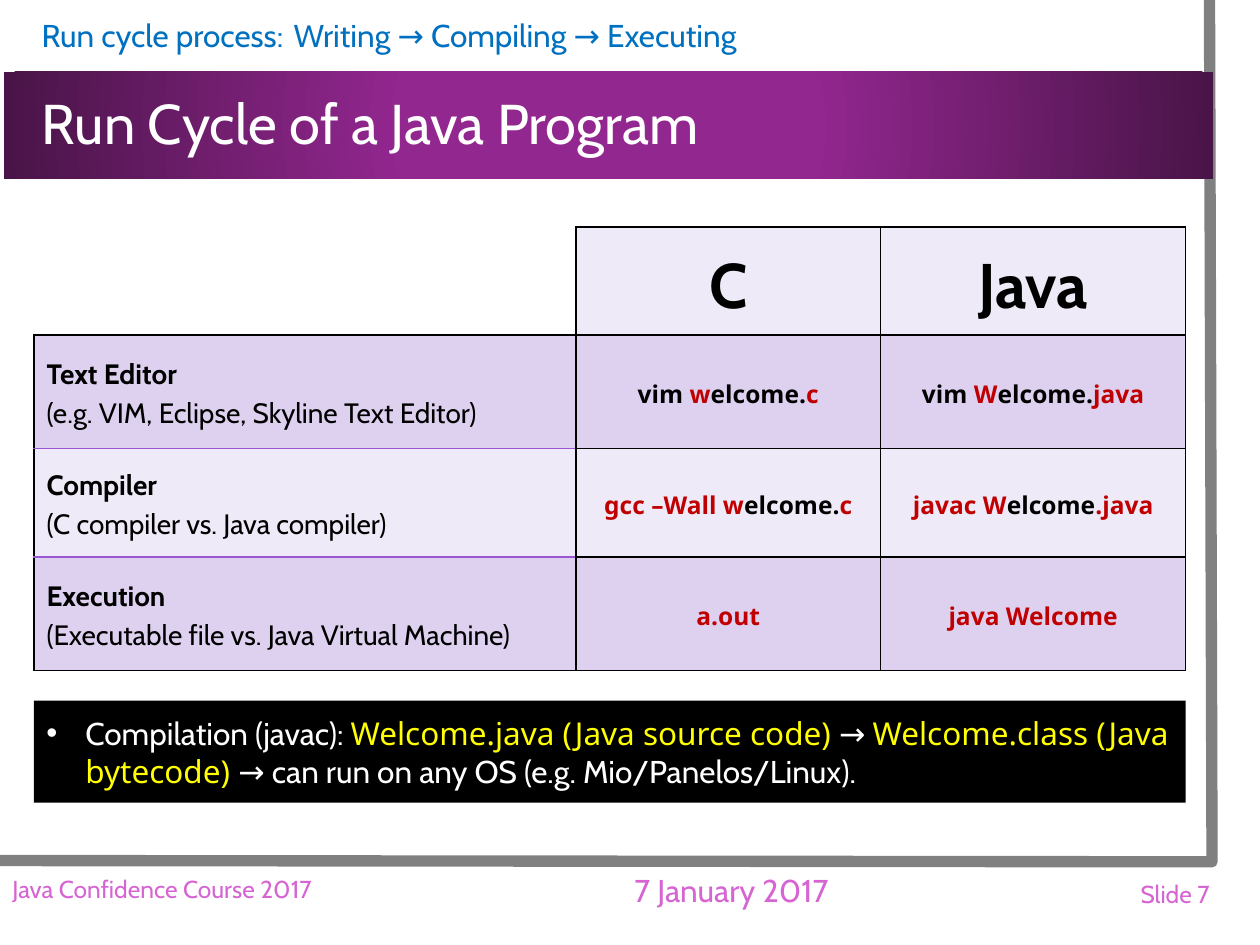
from lxml.etree import SubElement
from pptx import Presentation
from pptx.dml.color import RGBColor
from pptx.enum.shapes import MSO_SHAPE
from pptx.enum.text import MSO_ANCHOR, PP_ALIGN
from pptx.oxml import parse_xml
from pptx.oxml.ns import nsdecls, qn
from pptx.util import Inches, Pt

BLACK, WHITE, RED, YELLOW = "000000", "FFFFFF", "C00000", "FFFF00"
PINK, VIOLET, PALE, LILAC = "D665D3", "9B57D3", "EFEAF7", "DED1EF"
LEFT, CENTER, RIGHT = PP_ALIGN.LEFT, PP_ALIGN.CENTER, PP_ALIGN.RIGHT


def rgb(value):
    return RGBColor.from_string(value)


def write(p, text, size=18, font="Cabin", color=BLACK, bold=False, align=LEFT, spacing=None):
    """Append one run to a paragraph; a trailing newline becomes a line break."""
    p.alignment = align
    if spacing:
        p.line_spacing = spacing
    r = p.add_run()
    r.text = text.rstrip("\n")
    r.font.size, r.font.name, r.font.bold = Pt(size), font, bold
    r.font.color.rgb = rgb(color)
    if text.endswith("\n"):
        p.add_line_break()
        SubElement(p._p[-1], qn("a:rPr"), sz=str(size * 100))


prs = Presentation()
prs.slide_width, prs.slide_height = Inches(10), Inches(7.5)
s = prs.slides.add_slide(prs.slide_layouts[5])

# Grey frame along the right and bottom edges
builder = s.shapes.build_freeform(Inches(9.6), 0)
builder.add_line_segments([(Inches(9.62), Inches(6.84)), (Inches(-0.04), Inches(6.83))], close=False)
frame = builder.convert_to_shape()
frame.shadow.inherit = False
frame.fill.background()
frame.line.color.rgb = rgb("808080")
frame.line.width = Pt(6.5)

# Purple title band
band = s.shapes.add_shape(MSO_SHAPE.RECTANGLE, Inches(0.03), Inches(0.57), Inches(9.6), Inches(0.85))
band.shadow.inherit = False
band.line.fill.background()
band.fill.gradient()
grad = band._element.spPr.find(qn("a:gradFill"))
grad.getparent().replace(grad, parse_xml(
    f'<a:gradFill {nsdecls("a")} rotWithShape="1"><a:gsLst>'
    '<a:gs pos="34000"><a:srgbClr val="92278F"/></a:gs>'
    '<a:gs pos="100000"><a:srgbClr val="491447"/></a:gs></a:gsLst>'
    '<a:path path="circle"><a:fillToRect l="50000" t="50000" r="50000" b="50000"/></a:path>'
    '</a:gradFill>'))

title = s.shapes.title
band._element.addnext(title._element)
title.left, title.top, title.width, title.height = Inches(0.03), Inches(0.58), Inches(9.6), Inches(0.84)
tf = title.text_frame
tf.margin_left = Inches(0.3)
tf.vertical_anchor = MSO_ANCHOR.MIDDLE
write(tf.paragraphs[0], "Run Cycle of a Java Program", size=32, color=WHITE, spacing=0.9)

# Heading line and footers
labels = [
    ("Run cycle process: \tWriting → Compiling → Executing", 0.03, 0.08, 9.6, 0.4, 0.3, 18, "0070C0", LEFT),
    ("7 January 2017", 4.23, 6.85, 3.15, 0.43, 0.1, 18, PINK, CENTER),
    ("Java Confidence Course 2017", 0, 6.85, 4.23, 0.41, 0.1, 14, PINK, LEFT),
    ("Slide 7", 7.39, 6.86, 2.31, 0.47, 0.1, 14, PINK, RIGHT),
]
for text, x, y, w, h, inset, size, color, align in labels:
    tf = s.shapes.add_textbox(Inches(x), Inches(y), Inches(w), Inches(h)).text_frame
    tf.word_wrap = True
    tf.margin_left = Inches(inset)
    tf.vertical_anchor = MSO_ANCHOR.MIDDLE
    write(tf.paragraphs[0], text, size=size, color=color, align=align)

# Comparison table: each command is a list of (text, colour) parts
rows = [
    ("Text Editor\n", "(e.g. VIM, Eclipse, Skyline Text Editor)",
     [("vim ", BLACK), ("w", RED), ("elcome.", BLACK), ("c", RED)],
     [("vim ", BLACK), ("W", RED), ("elcome.", BLACK), ("java", RED)]),
    ("Compiler\n", "(C compiler vs. Java compiler)",
     [("gcc –Wall w", RED), ("elcome.", BLACK), ("c", RED)],
     [("javac W", RED), ("elcome", BLACK), (".java", RED)]),
    ("Execution\n", "(Executable file vs. Java Virtual Machine)",
     [("a.out", RED)],
     [("java Welcome", RED)]),
]
table = s.shapes.add_table(4, 3, Inches(0.27), Inches(1.8), Inches(9.14), Inches(3.52)).table
table.first_row = table.horz_banding = False
for column, width in zip(table.columns, (4.3, 2.42, 2.42)):
    column.width = Inches(width)
for row, height in zip(table.rows, (0.86, 0.9, 0.86, 0.9)):
    row.height = Inches(height)

for c, text in enumerate(("C", "Java"), 1):
    write(table.cell(0, c).text_frame.paragraphs[0], text, size=36, bold=True, align=CENTER, spacing=1.14)
for i, (name, detail, *commands) in enumerate(rows, 1):
    p = table.cell(i, 0).text_frame.paragraphs[0]
    write(p, name, size=16, bold=True, spacing=1.14)
    write(p, detail, size=16)
    for c, parts in enumerate(commands, 1):
        p = table.cell(i, c).text_frame.paragraphs[0]
        for text, color in parts:
            write(p, text, size=14, font="Noto Sans", color=color, bold=True, align=CENTER, spacing=1.14)

for i in range(4):
    for c in range(3):
        cell = table.cell(i, c)
        cell.vertical_anchor = MSO_ANCHOR.MIDDLE
        borders = dict.fromkeys("LRTB", BLACK)
        if (i, c) == (0, 0):
            cell.fill.background()
            borders = {"R": BLACK, "B": BLACK}
        else:
            cell.fill.solid()
            cell.fill.fore_color.rgb = rgb(LILAC if i % 2 else PALE)
        if c == 0 and i > 1:
            borders["T"] = VIOLET
        if c == 0 and i in (1, 2):
            borders["B"] = VIOLET
        tcPr = cell._tc.get_or_add_tcPr()
        for n, (side, color) in enumerate(borders.items()):
            tcPr.insert(n, parse_xml(
                f'<a:ln{side} {nsdecls("a")} w="12700"><a:solidFill>'
                f'<a:srgbClr val="{color}"/></a:solidFill></a:ln{side}>'))

# Compilation note
note = s.shapes.add_shape(MSO_SHAPE.RECTANGLE, Inches(0.27), Inches(5.56), Inches(9.14), Inches(0.81))
note.shadow.inherit = False
note.fill.solid()
note.fill.fore_color.rgb = rgb(BLACK)
note.line.fill.background()
tf = note.text_frame
tf.word_wrap = True
tf.vertical_anchor = MSO_ANCHOR.TOP
tf.margin_top = tf.margin_bottom = Inches(0.1)
p = tf.paragraphs[0]
pPr = p._p.get_or_add_pPr()
pPr.set("marL", str(Inches(0.31)))
pPr.set("indent", str(Inches(-0.31)))
SubElement(pPr, qn("a:buFont"), typeface="Arial")
SubElement(pPr, qn("a:buChar"), char="•")
for text, font, color in (
    ("Compilation (javac): ", "Cabin", WHITE),
    ("Welcome.java (Java source code) ", "Noto Sans", YELLOW),
    ("→ ", "Cabin", WHITE),
    ("Welcome.class (Java bytecode) ", "Noto Sans", YELLOW),
    ("→ can run on any OS (e.g. Mio/Panelos/Linux).", "Cabin", WHITE),
):
    write(p, text, font=font, color=color, spacing=Pt(22))

prs.save("out.pptx")
